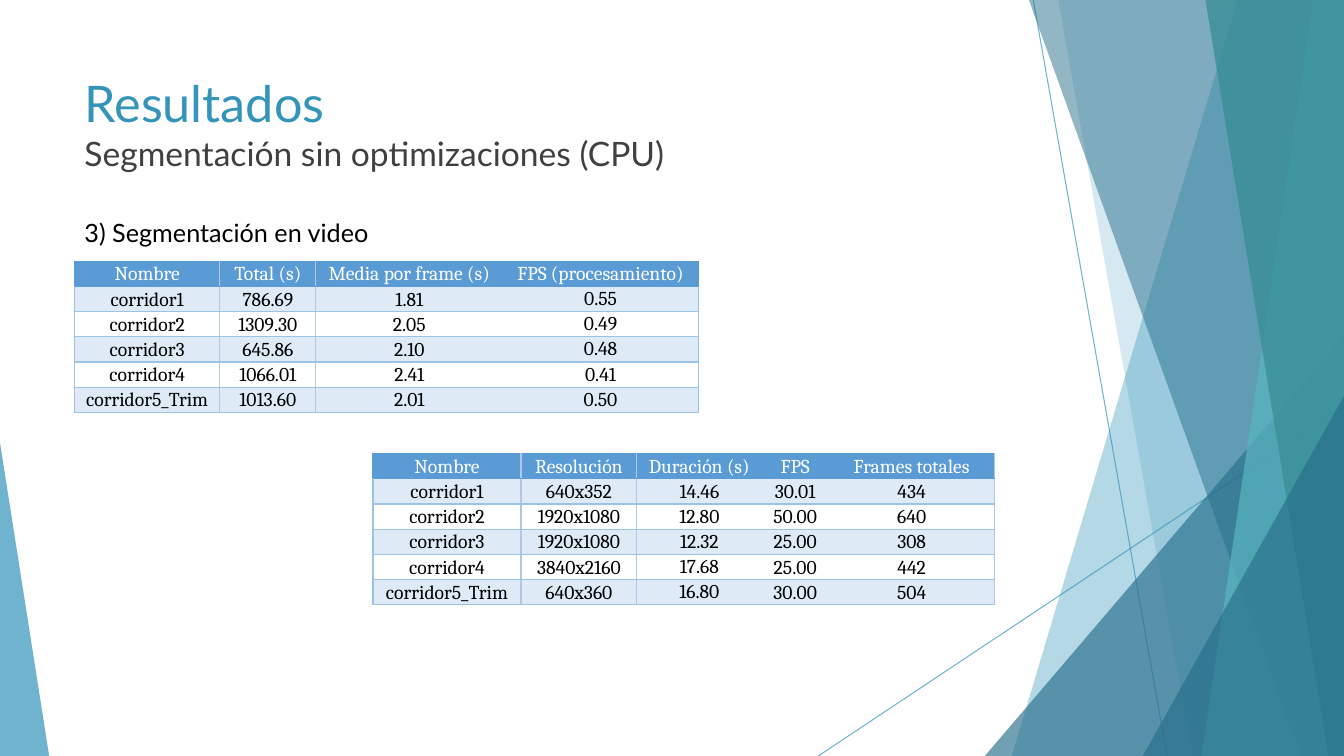
"""Build the results slide with two video segmentation tables."""
from dataclasses import dataclass

from lxml import etree
from pptx import Presentation
from pptx import util as u
from pptx.dml.color import RGBColor
from pptx.enum import shapes, text
from pptx.oxml.ns import qn

WIDTH, HEIGHT = 33.87, 19.05
NO_TABLE_STYLE = "{2D5ABB26-0587-4C30-8999-92F81FD0307C}"
COLORS = {
    "blue": "3494BA", "navy": "276F8B", "aqua": "58B6C0", "teal": "3A8F98",
    "gray": "404040", "black": "000000", "white": "FFFFFF",
    "header": "5B9BD5", "band": "DEEAF6", "rule": "9CC2E5", "divider": "B4C6E7",
}


@dataclass(frozen=True)
class Ray:
    start: tuple[float, float]
    end: tuple[float, float]


@dataclass(frozen=True)
class Facet:
    top_x: float
    bottom_x: float
    color: str
    opacity: int


@dataclass(frozen=True)
class Wedge:
    box: tuple[float, float, float, float]
    apex: float
    color: str
    opacity: int


@dataclass(frozen=True)
class Run:
    words: str
    size: int
    color: str


@dataclass(frozen=True)
class Label:
    box: tuple[float, float, float, float]
    lines: tuple[Run, ...]


@dataclass(frozen=True)
class Grid:
    box: tuple[float, float, float, float]
    widths: tuple[float, ...]
    rows: tuple[tuple[str, ...], ...]
    top_cells: frozenset[tuple[int, int]]
    header_edge: str
    body_edge: str


RAYS = (Ray((26.04, 0), (29.41, HEIGHT)), Ray((WIDTH, 10.24), (20.62, HEIGHT)))
BACKDROP = (
    Facet(31.19, 25.5, "blue", 36),
    Facet(26.67, 30.05, "blue", 20),
    Wedge((24.82, 8.46, 9.05, 10.59), 1, "navy", 66),
    Facet(25.93, 32.79, "navy", 50),
    Facet(33.1, 30.28, "aqua", 70),
    Facet(30.38, 33.48, "teal", 80),
    Wedge((28.8, 9.98, 5.07, 9.07), 1, "navy", 66),
    Wedge((0, 11.15, 1.24, 7.9), 0, "blue", 70),
)
LABELS = (
    Label((1.88, 1.7, 23.88, 3.66), (
        Run("Resultados", 36, "blue"),
        Run("Segmentación sin optimizaciones (CPU)", 24, "gray"))),
    Label((1.88, 5.36, 15.37, 1.02), (Run("3) Segmentación en video", 18, "black"),)),
)
GRIDS = (
    Grid((1.88, 6.58, 15.72, 3.6), (3.66, 2.42, 4.71, 4.93), (
        ("Nombre", "Total (s)", "Media por frame (s)", "FPS (procesamiento)"),
        ("corridor1", "786.69", "1.81", "0.55"),
        ("corridor2", "1309.30", "2.05", "0.49"),
        ("corridor3", "645.86", "2.10", "0.48"),
        ("corridor4", "1066.01", "2.41", "0.41"),
        ("corridor5_Trim", "1013.60", "2.01", "0.50"),
    ), frozenset((row, 3) for row in range(6)), "header", "rule"),
    Grid((9.4, 11.43, 15.67, 3.6), (3.73, 2.92, 3.15, 1.68, 4.19), (
        ("Nombre", "Resolución", "Duración (s)", "FPS", "Frames totales"),
        ("corridor1", "640x352", "14.46", "30.01", "434"),
        ("corridor2", "1920x1080", "12.80", "50.00", "640"),
        ("corridor3", "1920x1080", "12.32", "25.00", "308"),
        ("corridor4", "3840x2160", "17.68", "25.00", "442"),
        ("corridor5_Trim", "640x360", "16.80", "30.00", "504"),
    ), frozenset({(4, 2), (5, 2)}), "divider", "divider"),
)


def rgb(name: str) -> RGBColor:
    return RGBColor.from_string(COLORS[name])


def apply(target, **values) -> None:
    for name, value in values.items():
        setattr(target, name, value)


def lengths(values) -> list[u.Length]:
    return [u.Cm(value) for value in values]


def set_opacity(shape, percent: int) -> None:
    for color in shape.element.spPr.iter(qn("a:srgbClr")):
        etree.SubElement(color, qn("a:alpha"), val=str(percent * 1000))


def draw_ray(slide, ray: Ray) -> None:
    line = slide.shapes.add_connector(
        shapes.MSO_CONNECTOR.STRAIGHT, *lengths(ray.start + ray.end))
    line.line.color.rgb = rgb("blue")
    line.line.width = u.Pt(0.75)
    set_opacity(line, 70)
    etree.SubElement(line.element.spPr, qn("a:effectLst"))


def draw_backdrop(slide, part: Facet | Wedge) -> None:
    if isinstance(part, Facet):
        builder = slide.shapes.build_freeform(*lengths((part.top_x, 0)))
        corners = ((WIDTH, 0), (WIDTH, HEIGHT), (part.bottom_x, HEIGHT))
        builder.add_line_segments([lengths(corner) for corner in corners])
        shape = builder.convert_to_shape()
    else:
        shape = slide.shapes.add_shape(
            shapes.MSO_SHAPE.ISOSCELES_TRIANGLE, *lengths(part.box))
        shape.adjustments[0] = part.apex
    shape.shadow.inherit = False
    shape.fill.solid()
    shape.fill.fore_color.rgb = rgb(part.color)
    shape.line.fill.background()
    set_opacity(shape, part.opacity)


def add_run(paragraph, run: Run, font_name: str) -> None:
    piece = paragraph.add_run()
    piece.text = run.words
    apply(piece.font, name=font_name, size=u.Pt(run.size))
    piece.font.color.rgb = rgb(run.color)


def draw_label(slide, label: Label) -> None:
    frame = slide.shapes.add_textbox(*lengths(label.box)).text_frame
    frame.word_wrap = True
    paragraph = frame.paragraphs[0]
    for index, run in enumerate(label.lines):
        if index:
            paragraph.add_line_break()
        add_run(paragraph, run, "Lato")


def add_border(cell, side: str, color: str) -> None:
    properties = cell._tc.get_or_add_tcPr()
    line = etree.SubElement(properties, qn(f"a:ln{side}"), w=str(u.Pt(1)))
    fill = etree.SubElement(line, qn("a:solidFill"))
    etree.SubElement(fill, qn("a:srgbClr"), val=COLORS[color])


def fill_cell(cell, grid: Grid, row: int, column: int) -> None:
    last = len(grid.widths) - 1
    left = {0: "rule" if row else "header", 1: "divider"}
    right = {0: "divider", last: grid.body_edge if row else grid.header_edge}
    borders = {
        "L": left.get(column), "R": right.get(column),
        "T": "rule" if row > 1 else "header", "B": "rule" if row else "header",
    }
    for side, color in borders.items():
        if color:
            add_border(cell, side, color)
    if row % 2 or row == 0:
        cell.fill.solid()
        cell.fill.fore_color.rgb = rgb("band" if row else "header")
    else:
        cell.fill.background()
    anchors = text.MSO_ANCHOR
    apply(cell, margin_left=u.Cm(0.18), margin_right=u.Cm(0.18), margin_top=0, margin_bottom=0,
          vertical_anchor=anchors.TOP if (row, column) in grid.top_cells else anchors.MIDDLE)
    paragraph = cell.text_frame.paragraphs[0]
    apply(paragraph, alignment=text.PP_ALIGN.CENTER, line_spacing=1.07, space_after=u.Pt(8))
    add_run(paragraph, Run(grid.rows[row][column], 14, "black" if row else "white"), "Cambria")


def draw_grid(slide, grid: Grid) -> None:
    table = slide.shapes.add_table(len(grid.rows), len(grid.widths), *lengths(grid.box)).table
    table._tbl.tblPr.find(qn("a:tableStyleId")).text = NO_TABLE_STYLE
    for column, width in zip(table.columns, grid.widths):
        column.width = u.Cm(width)
    for row in range(len(grid.rows)):
        for column in range(len(grid.widths)):
            fill_cell(table.cell(row, column), grid, row, column)


def main() -> None:
    presentation = Presentation()
    apply(presentation, slide_width=u.Cm(WIDTH), slide_height=u.Cm(HEIGHT))
    slide = presentation.slides.add_slide(presentation.slide_layouts[6])
    for draw, items in ((draw_ray, RAYS), (draw_backdrop, BACKDROP),
                        (draw_label, LABELS), (draw_grid, GRIDS)):
        for item in items:
            draw(slide, item)
    presentation.save("out.pptx")


if __name__ == "__main__":
    main()
